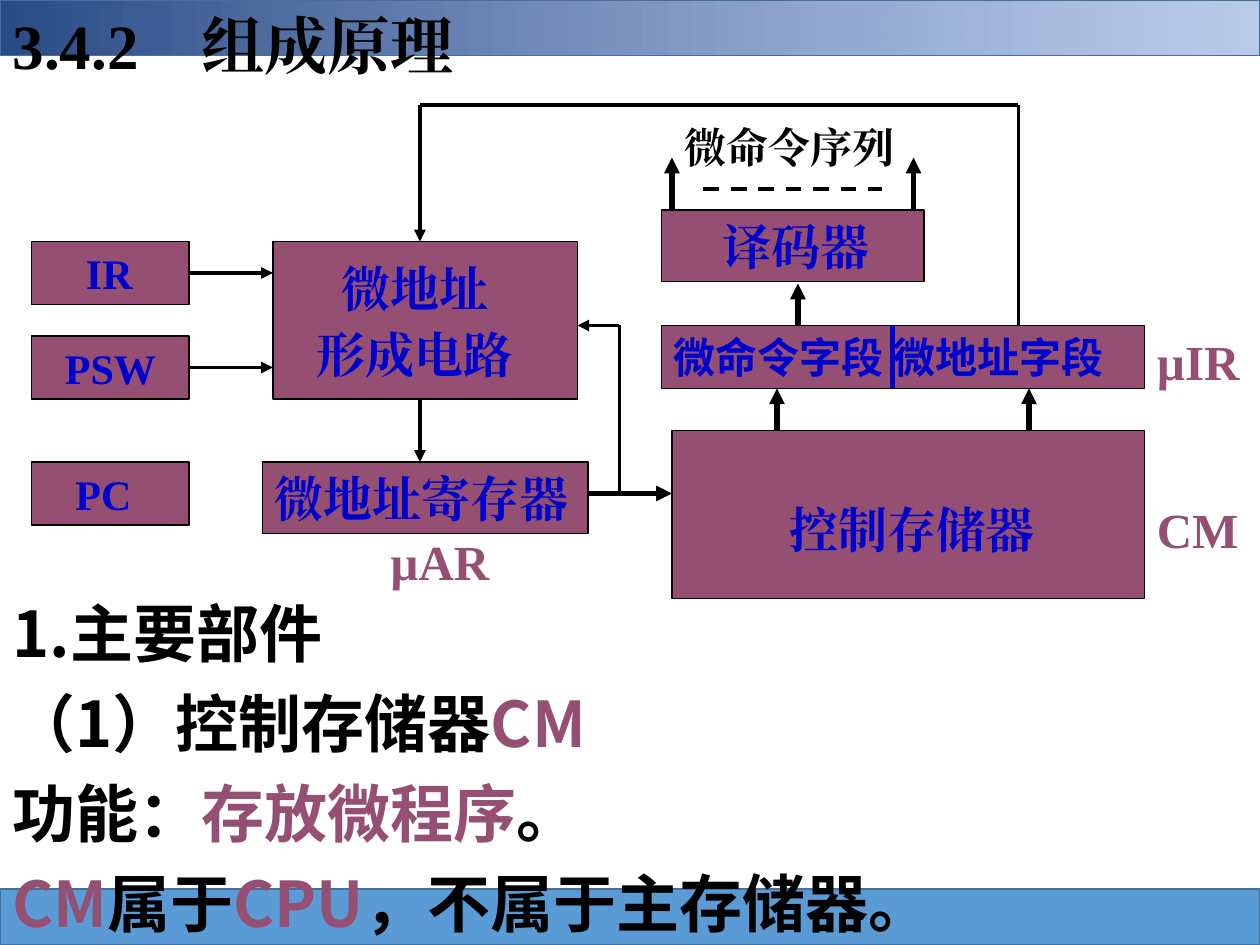
from pptx import Presentation, util as u
from pptx.dml.color import RGBColor
from pptx.enum import dml, shapes, text
from pptx.oxml.ns import qn
from lxml import etree

THEME = {
    "serif": "Times New Roman", "sans": "Noto Sans CJK SC",
    "ink": "000000", "plum": "954F72", "blue": "0000CC",
    "bar": "5B9BD5", "bar_edge": "41719C", "fade": ("2A4B86", "8FAADC"),
    "head": 36, "large": 28, "small": 24, "thin": 2.25, "thick": 3,
}

# Content: grid of 120 columns by 90 rows, twelve cells to the inch
COLUMNS, ROWS = 120, 90
TITLE = "3.4.2\t组成原理"
NOTES = [
    [("1.主要部件", "ink")],
    [("（1）控制存储器", "ink"), ("CM", "plum")],
    [("功能：", "ink"), ("存放微程序", "plum"), ("。", "ink")],
    [("CM", "plum"), ("属于", "ink"), ("CPU", "plum"), ("，不属于主存储器。", "ink")],
]
# Blocks: name: (cell rectangle, label, size, font, indent in cells)
BLOCKS = {
    "former": ((26, 23, 29, 15), "", "large", "serif", 0),
    "IR": ((3, 23, 15, 6), "IR", "small", "serif", 4),
    "PSW": ((3, 32, 15, 6), "PSW", "small", "serif", 2),
    "PC": ((3, 44, 15, 6), "PC", "small", "serif", 3),
    "address register": ((25, 44, 31, 6.8), "微地址寄存器", "large", "serif", 0),
    "control store": ((64, 41, 45, 16), "", "large", "serif", 0),
    "decoder": ((63, 20, 25, 6.8), "译码器", "large", "serif", 4.67),
    "fields": ((63, 31, 46, 6), "微命令字段 微地址字段", "small", "sans", 0),
}
# Labels: (cell rectangle, [(line, indent)], size, colour, line spacing)
LABELS = [
    ((29, 26, 27, 10.9), [("微地址", 2.33), ("形成电路", 0)], "large", "blue", 0.6),
    ((35, 50, 16, 6.8), [("µAR", 1)], "large", "plum", 1),
    ((74, 47, 28, 6.8), [("控制存储器", 0)], "large", "blue", 1),
    ((109, 47, 13, 6.8), [("CM", 0)], "large", "plum", 1),
    ((64, 11, 25, 6), [("微命令序列", 0)], "small", "ink", 1),
    ((109, 31, 13, 6.8), [("µIR", 0)], "large", "plum", 1),
]
# Wires: (x1, y1, x2, y2, weight, arrow, block joined at its right side)
WIRES = [
    (74, 41, 74, 37, "thick", True, None),
    (98, 41, 98, 37, "thick", True, None),
    (76, 31, 76, 27, "thick", True, None),
    (64, 20, 64, 15, "thick", True, None),
    (87, 20, 87, 15, "thick", True, None),
    (56, 47, 64, 47, "thick", True, None),
    (59, 47, 59, 31, "thin", False, None),
    (59, 31, 55, 31, "thin", True, None),
    (40, 38, 40, 44, "thin", True, None),
    (18, 26, 26, 26, "thin", True, "IR"),
    (18, 35, 26, 35, "thin", True, "PSW"),
    (40, 10, 97, 10, "thin", False, None),
    (97, 10, 97, 31, "thin", False, None),
    (40, 10, 40, 23, "thin", True, None),
]

deck = Presentation()
deck.slide_width, deck.slide_height = u.Inches(10), u.Inches(7.5)
page = deck.slides.add_slide(deck.slide_layouts[1])


def color(name):
    return RGBColor.from_string(THEME.get(name, name))


def cells(*values):
    return [int(value * deck.slide_width / COLUMNS) for value in values]


def add_span(para, words, size, font, tint):
    span = para.add_run()
    span.text = words
    span.font.size, span.font.bold = u.Pt(THEME[size]), True
    span.font.name, span.font.color.rgb = THEME[font], color(tint)
    etree.SubElement(span.font._element, qn("a:ea"), typeface=THEME[font])


def prepare(frame, wrap=True):
    frame.word_wrap, frame.auto_size = wrap, text.MSO_AUTO_SIZE.NONE
    frame.vertical_anchor = text.MSO_ANCHOR.TOP


def set_indent(para, indent):
    props = para._p.get_or_add_pPr()
    props.set("marL", str(cells(indent)[0]))
    props.set("indent", "0")
    para.alignment = text.PP_ALIGN.LEFT
    para.space_before = u.Pt(0)
    return props


def add_rect(place, fill, edge, weight):
    box = page.shapes.add_shape(shapes.MSO_SHAPE.RECTANGLE, *cells(*place))
    box.shadow.inherit = False
    box.fill.solid()
    box.fill.fore_color.rgb = color(fill)
    box.line.color.rgb, box.line.width = color(edge), u.Pt(weight)
    return box


def add_wire(x1, y1, x2, y2, weight, arrow=False, joined=None, tint="ink"):
    wire = page.shapes.add_connector(shapes.MSO_CONNECTOR.STRAIGHT, *cells(x1, y1, x2, y2))
    if joined:
        wire.begin_connect(joined, 3)
    wire.line.color.rgb, wire.line.width = color(tint), u.Pt(THEME[weight])
    if arrow:
        etree.SubElement(wire.line._get_or_add_ln(), qn("a:tailEnd"), type="triangle")
    etree.SubElement(wire._element.spPr, qn("a:effectLst"))
    return wire


# Bars behind everything
bar_height = 5.3
top_bar = add_rect((0, 0, COLUMNS, bar_height), "bar", "bar_edge", 1)
top_bar.fill.gradient()
top_bar.fill.gradient_angle = 0
for stop, tint in zip(top_bar.fill.gradient_stops, THEME["fade"]):
    stop.color.rgb = color(tint)
fade_end = top_bar._element.spPr.findall(".//" + qn("a:gs"))[-1]
etree.SubElement(fade_end[0], qn("a:alpha"), val="61000")
bottom_bar = add_rect((0, ROWS - bar_height, COLUMNS, bar_height), "bar", "bar_edge", 1)
for bar in (top_bar, bottom_bar):
    page.shapes._spTree.insert(2, bar._element)

# Title
title = page.shapes.title
title.left, title.top, title.width, title.height = cells(0, 0, 56, 8.4)
prepare(title.text_frame)
para = title.text_frame.paragraphs[0]
tabs = etree.SubElement(set_indent(para, 0), qn("a:tabLst"))
etree.SubElement(tabs, qn("a:tab"), pos=str(u.Inches(1.36)), algn="l")
add_span(para, TITLE, "head", "serif", "ink")

# Notes
body = page.placeholders[1]
body.left, body.top, body.width, body.height = cells(0, 54.7, 102, 35.3)
prepare(body.text_frame)
for index, line in enumerate(NOTES):
    para = body.text_frame.add_paragraph() if index else body.text_frame.paragraphs[0]
    props = set_indent(para, 0)
    para.line_spacing = u.Pt(51.3)
    etree.SubElement(props, qn("a:buNone"))
    for words, tint in line:
        add_span(para, words, "head", "sans", tint)

# Blocks
boxes = {}
for name, (place, label, size, font, indent) in BLOCKS.items():
    box = boxes[name] = add_rect(place, "plum", "ink", 0.75)
    if label:
        prepare(box.text_frame)
        para = box.text_frame.paragraphs[0]
        set_indent(para, indent)
        add_span(para, label, size, font, "blue")

# Labels
for place, lines, size, tint, spacing in LABELS:
    frame = page.shapes.add_textbox(*cells(*place)).text_frame
    prepare(frame)
    for index, (words, indent) in enumerate(lines):
        para = frame.add_paragraph() if index else frame.paragraphs[0]
        set_indent(para, indent)
        para.line_spacing = spacing
        if index:
            para.space_before = u.Pt(17.5)
        add_span(para, words, size, "serif", tint)

# Wires, field divider and dashed sequence line
for *ends, weight, arrow, joined in WIRES:
    add_wire(*ends, weight, arrow, boxes.get(joined))
add_wire(85, 31, 85, 37, "thick", tint="blue")
add_wire(67, 18, 84, 18, "thin").line.dash_style = dml.MSO_LINE.DASH

deck.save("out.pptx")
